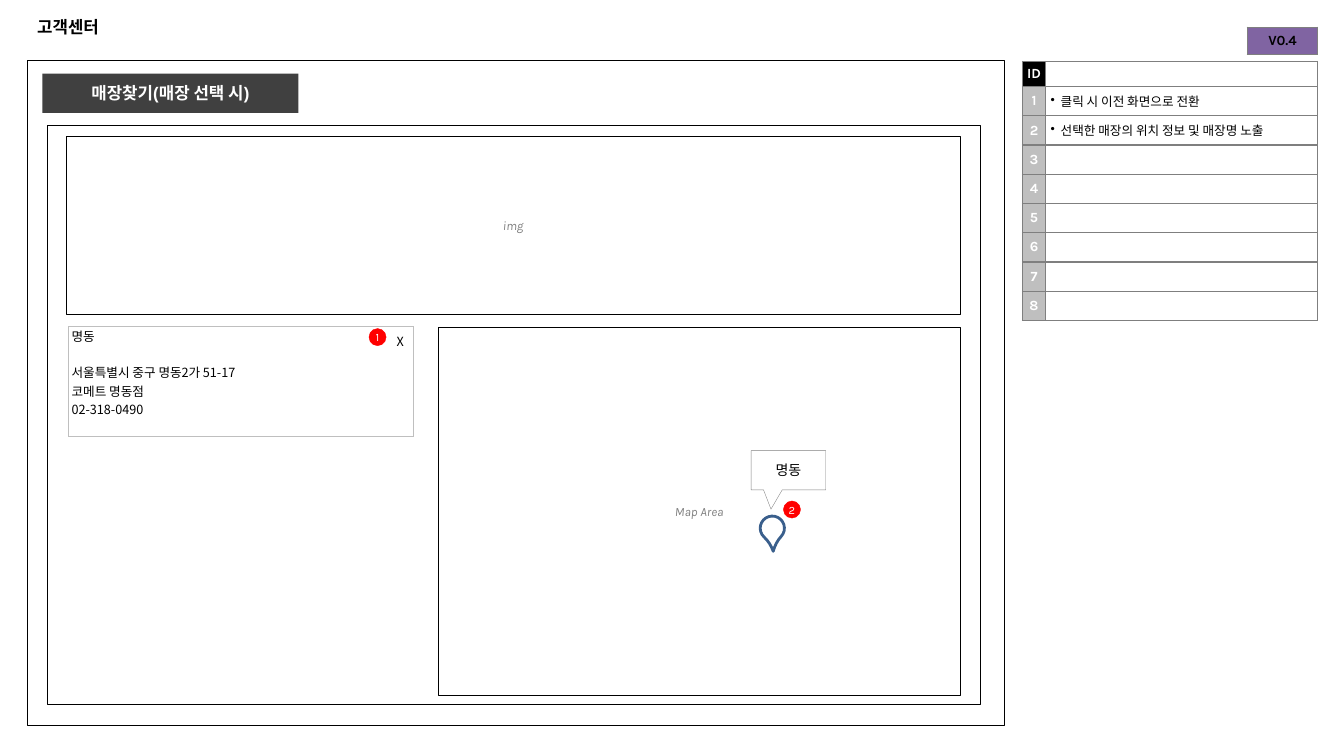
from pptx import Presentation
from pptx.dml.color import RGBColor
from pptx.enum import shapes, text
from pptx.oxml.xmlchemy import OxmlElement
from pptx.util import Inches, Pt

TITLE = "고객센터"
SECTION = "매장찾기(매장 선택 시)"
VERSION = "V0.4"
NOTES = ["클릭 시 이전 화면으로 전환", "선택한 매장의 위치 정보 및 매장명 노출"]
NOTE_ROWS = 8
STORE = ["명동", "서울특별시 중구 명동2가 51-17", "코메트 명동점", "02-318-0490"]
PIN_LABEL = "명동"
MARKERS = [("1", 3.66, 3.26), ("2", 7.77, 4.97)]
FRAMES = [  # label, left, top, width, height, line width
    ("", 0.27, 0.6, 9.69, 6.6, 0.75),
    ("", 0.47, 1.24, 9.25, 5.75, 0.25),
    ("img", 0.66, 1.35, 8.86, 1.77, 0.25),
    ("Map Area", 4.35, 3.25, 5.17, 3.65, 0.25),
]


class Theme:
    black, white, dark, gray = "000000", "FFFFFF", "404040", "808080"
    border, light, purple, red, pin = "7F7F7F", "BFBFBF", "8064A2", "FF0000", "3A5F8C"
    heading, label, body, marker = 12, 10, 9, 8
    arial, karla, korean = "Arial", "Karla", "Noto Sans CJK KR"


def color(code):
    return RGBColor.from_string(code)


def write(frame, lines, size=Theme.body, font=Theme.karla, ink=Theme.black, bold=False,
          italic=False, align=text.PP_ALIGN.CENTER, anchor=text.MSO_ANCHOR.MIDDLE,
          margin=0, wrap=True):
    """Fill a text frame with one paragraph per line and return the paragraphs."""
    frame.word_wrap = wrap
    frame.vertical_anchor = anchor
    frame.margin_left = frame.margin_right = Inches(margin)
    frame.margin_top = frame.margin_bottom = Inches(margin)
    paras = []
    for index, line in enumerate(lines):
        para = frame.add_paragraph() if index else frame.paragraphs[0]
        para.alignment = align
        span = para.add_run()
        span.text = line
        span.font.size, span.font.name = Pt(size), font
        span.font.bold, span.font.italic = bold, italic
        span.font.color.rgb = color(ink)
        east_asian = OxmlElement("a:ea")
        east_asian.set("typeface", Theme.korean)
        span.font._element.append(east_asian)
        paras.append(para)
    return paras


def add_box(page, kind, left, top, width, height, fill=None, line=None, weight=0.25):
    box = page.shapes.add_shape(kind, *map(Inches, (left, top, width, height)))
    box.shadow.inherit = False
    if fill:
        box.fill.solid()
        box.fill.fore_color.rgb = color(fill)
    else:
        box.fill.background()
    if line:
        box.line.color.rgb = color(line)
        box.line.width = Pt(weight)
    else:
        box.line.fill.background()
    return box


def style_cell(cell, fill, border, weight):
    """Set the margins, four borders and fill of a cell."""
    cell.margin_left = cell.margin_right = cell.margin_top = cell.margin_bottom = 0
    properties = cell._tc.get_or_add_tcPr()
    for side in ("L", "R", "T", "B"):
        edge = OxmlElement(f"a:ln{side}")
        edge.set("w", str(Pt(weight)))
        solid, tint = OxmlElement("a:solidFill"), OxmlElement("a:srgbClr")
        tint.set("val", border)
        solid.append(tint)
        edge.append(solid)
        properties.append(edge)
    cell.fill.solid()
    cell.fill.fore_color.rgb = color(fill)
    ending = OxmlElement("a:endParaRPr")
    ending.set("sz", str(Theme.body * 100))
    cell.text_frame.paragraphs[0]._p.append(ending)


def add_grid(page, left, top, widths, heights, fills, border=Theme.border, weight=1):
    """Add a table whose columns each have their own fill."""
    frame = page.shapes.add_table(len(heights), len(widths), Inches(left), Inches(top),
                                  Inches(sum(widths)), Inches(sum(heights)))
    grid = frame.table
    grid.first_row = grid.horz_banding = False
    for column, width in zip(grid.columns, widths):
        column.width = Inches(width)
    for row, height in zip(grid.rows, heights):
        row.height = Inches(height)
        for cell, fill in zip(row.cells, fills):
            style_cell(cell, fill, border, weight)
    return grid


def write_cell(cell, lines, anchor=text.MSO_ANCHOR.MIDDLE, **style):
    paras = write(cell.text_frame, lines, **style)
    cell.vertical_anchor = anchor
    cell.margin_left = cell.margin_right = cell.margin_top = cell.margin_bottom = 0
    return paras


def add_bullet(para):
    properties = para._p.get_or_add_pPr()
    properties.set("marL", str(Inches(0.1)))
    properties.set("indent", str(Inches(-0.1)))
    bullet = OxmlElement("a:buChar")
    bullet.set("char", "•")
    properties.append(bullet)


def add_notes(page):
    notes = add_grid(page, 10.14, 0.61, [0.23, 2.7], [0.25] + [0.29] * NOTE_ROWS,
                     [Theme.light, Theme.white])
    for row in range(NOTE_ROWS + 1):
        write_cell(notes.cell(row, 0), [str(row) if row else "ID"], size=Theme.label,
                   ink=Theme.white, bold=True)
    notes.cell(0, 0).fill.fore_color.rgb = color(Theme.black)
    for row, note in enumerate(NOTES, 1):
        cell = notes.cell(row, 1)
        add_bullet(write_cell(cell, [note], align=text.PP_ALIGN.LEFT)[0])
        cell.margin_left = cell.margin_right = Inches(0.05)


def add_store_card(page):
    card = add_grid(page, 0.68, 3.24, [3.42], [1.09], [Theme.white], Theme.light, 0.5)
    cell = card.cell(0, 0)
    paras = write_cell(cell, STORE, anchor=text.MSO_ANCHOR.TOP, font=Theme.korean,
                       align=text.PP_ALIGN.LEFT)
    cell.margin_left = Inches(0.03)
    paras[0].space_after = Pt(13)


def add_pin(page):
    pin = add_box(page, shapes.MSO_SHAPE.TEAR, 7.54, 5.12, 0.24, 0.24,
                  Theme.white, Theme.pin, 2)
    pin.rotation = 132.7
    pin.adjustments[0] = 1.353
    callout = add_box(page, shapes.MSO_SHAPE.RECTANGULAR_CALLOUT, 7.45, 4.47, 0.74, 0.39,
                      Theme.white, Theme.gray)
    callout.adjustments[0], callout.adjustments[1] = -0.234, 0.99
    write(callout.text_frame, [PIN_LABEL], size=Theme.label, font=Theme.korean)


def main():
    deck = Presentation()
    deck.slide_width, deck.slide_height = Inches(13.33), Inches(7.5)
    page = deck.slides.add_slide(deck.slide_layouts[6])

    for label, left, top, width, height, weight in FRAMES:
        box = add_box(page, shapes.MSO_SHAPE.RECTANGLE, left, top, width, height,
                      line=Theme.black, weight=weight)
        if label:
            write(box.text_frame, [label], ink=Theme.gray, italic=True, margin=0.04)

    title = page.shapes.add_textbox(*map(Inches, (0.27, 0.07, 12.79, 0.39)))
    write(title.text_frame, [TITLE], size=Theme.heading, font=Theme.arial, bold=True,
          align=text.PP_ALIGN.LEFT, margin=0.1)
    section = add_box(page, shapes.MSO_SHAPE.RECTANGLE, 0.42, 0.73, 2.54, 0.39, Theme.dark)
    write(section.text_frame, [SECTION], size=Theme.heading, font=Theme.arial,
          ink=Theme.white, bold=True)

    add_notes(page)
    version = add_grid(page, 12.37, 0.27, [0.7], [0.27], [Theme.purple])
    write_cell(version.cell(0, 0), [VERSION], size=Theme.label, bold=True)
    add_store_card(page)

    close = page.shapes.add_textbox(*map(Inches, (3.83, 3.26, 0.28, 0.25)))
    write(close.text_frame, ["X"], font=Theme.korean, wrap=False)
    add_pin(page)
    for number, left, top in MARKERS:
        marker = add_box(page, shapes.MSO_SHAPE.OVAL, left, top, 0.17, 0.17,
                         Theme.red, Theme.red)
        write(marker.text_frame, [number], size=Theme.marker, ink=Theme.white, wrap=False)

    deck.save("out.pptx")


if __name__ == "__main__":
    main()
